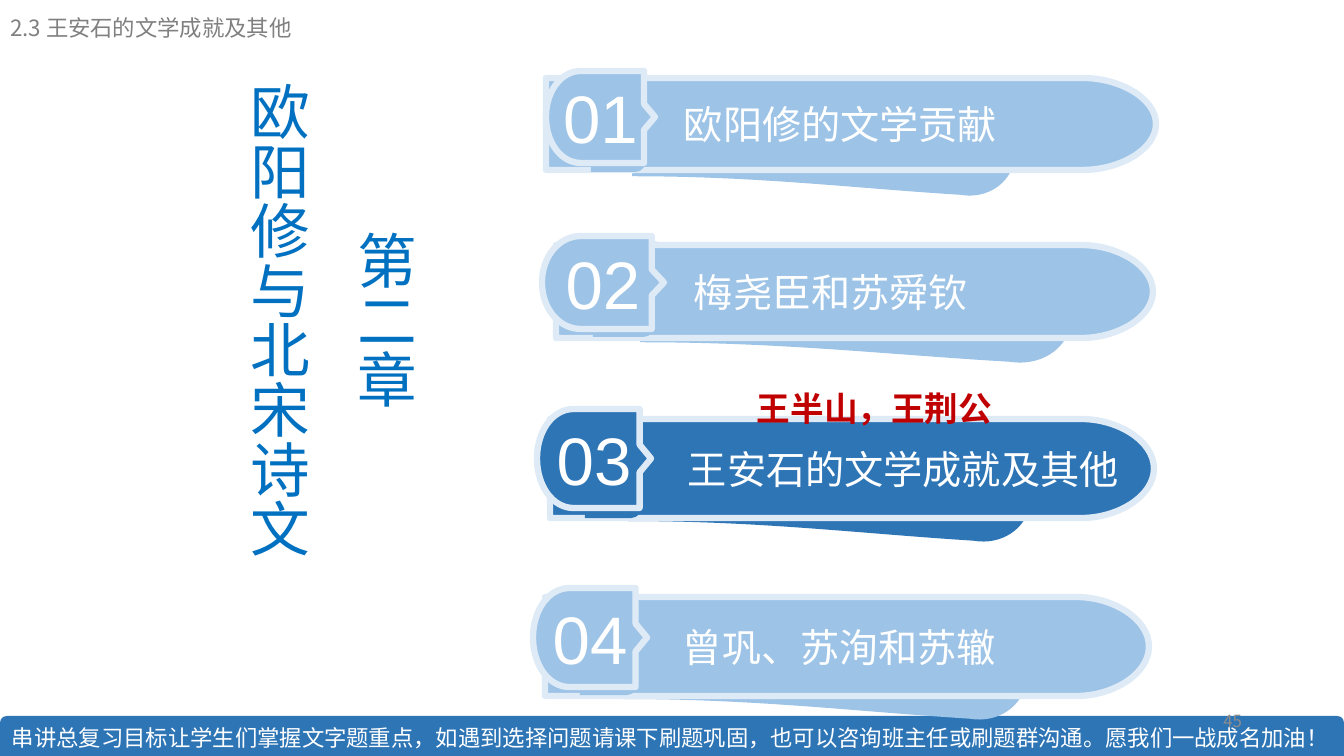
from lxml import etree
from pptx import Presentation
from pptx.dml.color import RGBColor
from pptx.enum.shapes import MSO_SHAPE
from pptx.enum.text import MSO_ANCHOR, MSO_AUTO_SIZE, PP_ALIGN
from pptx.oxml.ns import qn
from pptx.util import Pt

PX = 12192000 / 1344
CJK, LATIN = "Noto Sans CJK SC", "Arial"
WHITE = RGBColor(0xFF, 0xFF, 0xFF)
PALE = RGBColor(0xDE, 0xEB, 0xF7)
LIGHT = RGBColor(0x9D, 0xC3, 0xE6)
DARK = RGBColor(0x2E, 0x75, 0xB6)
BLUE = RGBColor(0x00, 0x70, 0xC0)
RED = RGBColor(0xC0, 0x00, 0x00)
GRAY = RGBColor(0x80, 0x80, 0x80)
PAGE_GRAY = RGBColor(0x8C, 0x8C, 0x8C)
LEFT, CENTER, RIGHT = PP_ALIGN.LEFT, PP_ALIGN.CENTER, PP_ALIGN.RIGHT
TOP, MIDDLE, BOTTOM = MSO_ANCHOR.TOP, MSO_ANCHOR.MIDDLE, MSO_ANCHOR.BOTTOM
GROW, FIXED = MSO_AUTO_SIZE.SHAPE_TO_FIT_TEXT, MSO_AUTO_SIZE.NONE
ROUND_TOP = MSO_SHAPE.ROUND_2_SAME_RECTANGLE

TAIL = [(.02, 0), (.89, .3), (.96, .34, 1.01, .52, 1, .7),
        (.99, .89, .93, 1.03, .86, .99), (.57, .93, .33, .83, 0, .83),
        (.01, .6, .01, .23, .02, 0)]
BAR = [(0, 0), (.88, 0), (.94, 0, 1, .22, 1, .5), (1, .78, .94, 1, .88, 1), (0, 1)]
CLIP = [(0, 0), (.8, 0), (.91, 0, 1, .14, 1, .31), (1, .67),
        (1, .86, .91, 1, .8, 1), (0, 1)]
TAG = [(.32, 0), (.9, 0), (.9, .36), (1, .5), (.9, .64), (.9, 1), (.32, 1),
       (.14, 1, 0, .78, 0, .5), (0, .22, .14, 0, .32, 0)]

ROWS = [
    ("欧阳修的文学贡献", LIGHT, (546, 78, 610, 92),
     (86, 2, 382, 116), (45, 46, 56, 48), (0, -7, 109, 92)),
    ("梅尧臣和苏舜钦", LIGHT, (556, 245, 597, 93),
     (84, -4, 430, 122), (37, 44, 63, 48), (-14, -9, 122, 93)),
    ("王安石的文学成就及其他", DARK, (550, 419, 604, 99),
     (78, 0, 402, 123), (35, 48, 58, 51), (-13, -10, 114, 99)),
    ("曾巩、苏洵和苏辙", LIGHT, (545, 597, 604, 99),
     (79, 0, 402, 123), (35, 47, 59, 51), (-12, -9, 114, 99)),
]


def emu(box):
    return [round(v * PX) for v in box]


def write(shape, *lines, size, color, font=CJK, bold=False, align=LEFT, anchor=TOP,
          spacing=None, wrap=True, fit=FIXED, left=10):
    tf = shape.text_frame
    tf.word_wrap, tf.auto_size, tf.vertical_anchor = wrap, fit, anchor
    tf.margin_left, tf.margin_right = emu((left, 10))
    tf.margin_top = tf.margin_bottom = round(5 * PX)
    for i, line in enumerate(lines):
        p = tf.add_paragraph() if i else tf.paragraphs[0]
        p.alignment = align
        p.space_before = Pt(0)
        if spacing:
            p.line_spacing = spacing
        r = p.add_run()
        r.text = line
        r.font.size, r.font.bold, r.font.name = Pt(size), bold, font
        r.font.color.rgb = color
        latin = r.font._element.find(qn("a:latin"))
        latin.addnext(etree.Element(qn("a:ea"), typeface=font))


def paint(shape, fill, line=None):
    shape.shadow.inherit = False
    shape.fill.solid()
    shape.fill.fore_color.rgb = fill
    if line:
        shape.line.color.rgb = line
        shape.line.width = Pt(4.5)
    else:
        shape.line.fill.background()


def add_outline(s, outline, box, fill, line=None):
    x, y, w, h = emu(box)

    def place(a, b):
        return round(x + a * w), round(y + b * h)

    corners = [place(*seg[-2:]) for seg in outline]
    builder = s.shapes.build_freeform(*corners[0], scale=1.0)
    builder.add_line_segments(corners[1:], close=True)
    sp = builder.convert_to_shape()
    edges = list(sp._element.iter(qn("a:lnTo")))
    for edge, seg in zip(edges, outline[1:]):
        if len(seg) == 6:
            curve = etree.Element(qn("a:cubicBezTo"))
            for i in (0, 2, 4):
                px, py = place(*seg[i:i + 2])
                etree.SubElement(curve, qn("a:pt"), x=str(px - sp.left), y=str(py - sp.top))
            edge.getparent().replace(edge, curve)
    paint(sp, fill, line)
    return sp


def add_row(s, number, text, fill, bar, tail, clip, tag):
    def inside(part):
        return bar[0] + part[0], bar[1] + part[1], part[2], part[3]

    add_outline(s, TAIL, inside(tail), fill)
    sp = add_outline(s, BAR, bar, fill, PALE)
    write(sp, text, size=28, color=WHITE, anchor=MIDDLE, left=138)
    add_outline(s, CLIP, inside(clip), fill)
    sp = add_outline(s, TAG, inside(tag), fill, PALE)
    write(sp, f"{number:02}", size=48, color=WHITE, font=LATIN, align=CENTER, anchor=MIDDLE)


def add_label(s, text, box, **fmt):
    write(s.shapes.add_textbox(*emu(box)), text, **fmt)


def add_footer(s, box):
    x, y, w, h = box
    sp = s.shapes.add_shape(ROUND_TOP, *emu(box))
    paint(sp, DARK)
    write(sp, "串讲总复习目标让学生们掌握文字题重点，如遇到选择问题请课下刷题巩固，"
          "也可以咨询班主任或刷题群沟通。愿我们一战成名加油！",
          size=16, color=WHITE, anchor=BOTTOM)
    add_label(s, "45", (x + 950, y - 15, 302, 40), size=12, color=PAGE_GRAY,
              align=RIGHT, anchor=MIDDLE)


def add_chapter_title(s, box):
    title = s.shapes.title
    title.left, title.top, title.width, title.height = emu(box)
    write(title, "第二章", "欧阳修与北宋诗文", size=42.6, color=BLUE,
          align=CENTER, spacing=1.5, fit=GROW)
    title.text_frame._txBody.bodyPr.set("vert", "eaVert")


def main():
    prs = Presentation()
    prs.slide_width, prs.slide_height = emu((1344, 756))
    s = prs.slides.add_slide(prs.slide_layouts[5])
    add_footer(s, (0, 716, 1344, 40))
    add_chapter_title(s, (229, 77, 238, 593))
    for number, row in enumerate(ROWS, 1):
        add_row(s, number, *row)
    add_label(s, "2.3 王安石的文学成就及其他", (0, 9, 475, 37), size=16, color=GRAY, fit=GROW)
    add_label(s, "王半山，王荆公", (747, 363, 258, 64), size=24, color=RED, bold=True,
              spacing=1.5, wrap=False, fit=GROW)
    prs.save("out.pptx")


if __name__ == "__main__":
    main()
